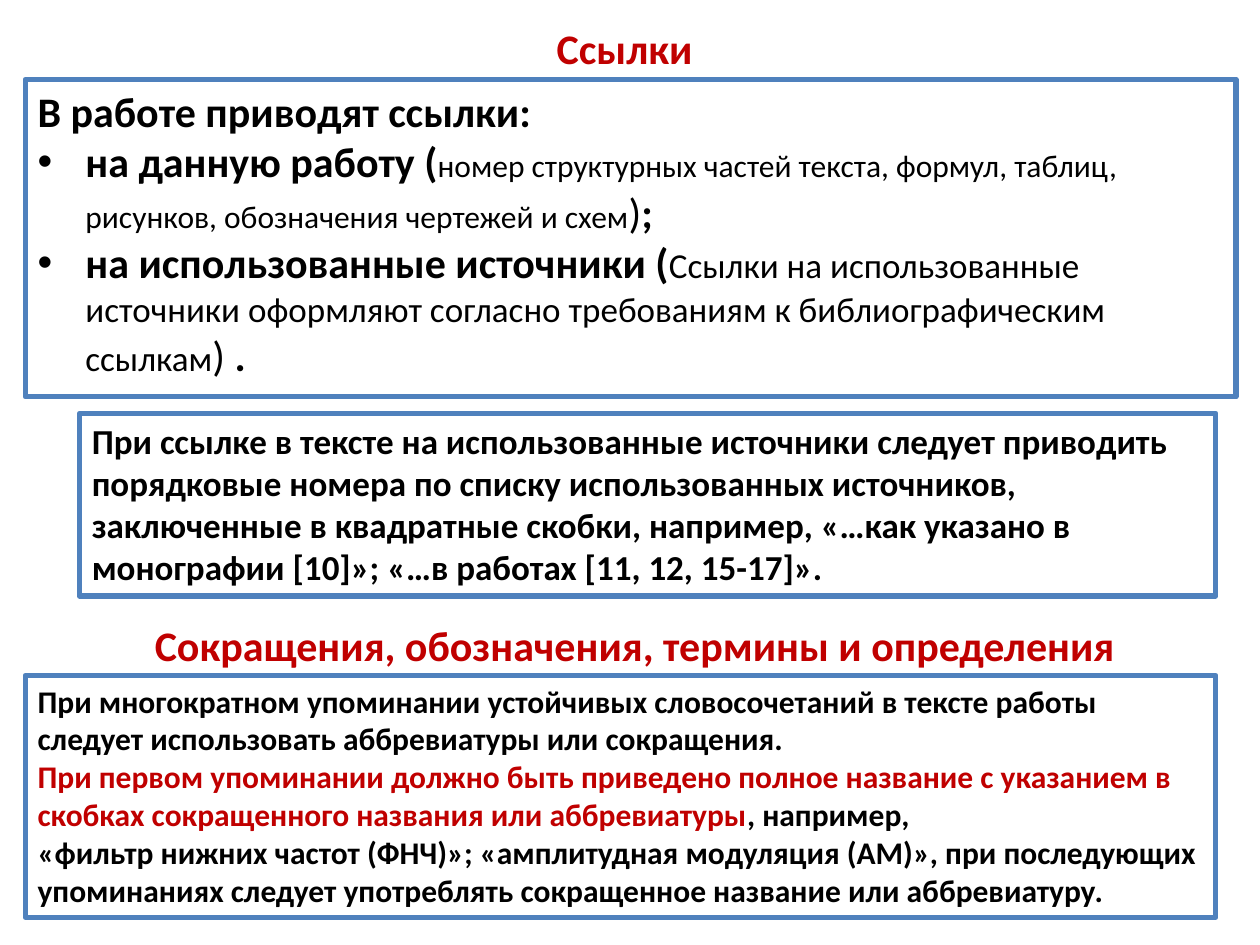
from pptx import Presentation
from pptx.dml.color import RGBColor
from pptx.enum.shapes import MSO_SHAPE
from pptx.enum.text import MSO_ANCHOR, MSO_AUTO_SIZE, PP_ALIGN
from pptx.oxml.ns import qn
from pptx.util import Inches, Pt
from lxml.etree import SubElement

THEME = {
    "font": "Calibri",
    "text": RGBColor(0x00, 0x00, 0x00),
    "accent": RGBColor(0xC0, 0x00, 0x00),
    "frame": RGBColor(0x4F, 0x81, 0xBD),
    "frame_width": 3,
    "heading": 24,
    "body": 20,
    "small": 18,
}

HEADING_STYLE = ("heading", True, "accent")
LEAD = ("heading", True, "text")
LEAD_PLAIN = ("heading", False, "text")
BODY = ("body", True, "text")
BODY_PLAIN = ("body", False, "text")
SMALL = ("small", True, "text")
SMALL_PLAIN = ("small", False, "text")
SMALL_ACCENT = ("small", True, "accent")

HEADINGS = [
    ((3.82, 0.13, 1.8, 0.5), False, "Ссылки"),
    ((0.63, 4.87, 9.02, 0.5), True, "Сокращения, обозначения, термины и определения"),
]

FRAMES = [
    ((0.2, 0.63, 9.61, 2.52), [
        ("plain", [("В работе приводят ссылки:", LEAD)]),
        ("bullet", [
            ("на данную работу (", LEAD),
            ("номер структурных частей текста, формул, таблиц, рисунков, "
             "обозначения чертежей и схем", SMALL_PLAIN),
            (")", LEAD_PLAIN),
            (";", LEAD),
        ]),
        ("bullet", [
            ("на использованные источники (", LEAD),
            ("Ссылки на использованные источники оформляют согласно "
             "требованиям к библиографическим ссылкам", BODY_PLAIN),
            (") ", LEAD_PLAIN),
            (".", LEAD),
        ]),
    ]),
    ((0.63, 3.28, 9.02, 1.45), [
        ("plain", [
            ("При ссылке в тексте на использованные источники следует приводить "
             "порядковые номера по списку использованных источников, заключенные "
             "в квадратные скобки, например, «…как указано в монографии [10]»; "
             "«…в работах [11, 12, 15-17]».", BODY),
        ]),
    ]),
    ((0.2, 5.36, 9.45, 1.92), [
        ("plain", [
            ("При многократном упоминании устойчивых словосочетаний в тексте работы "
             "следует использовать аббревиатуры или сокращения.", SMALL),
        ]),
        ("plain", [
            ("При первом упоминании должно быть приведено полное название с указанием "
             "в скобках сокращенного названия или аббревиатуры", SMALL_ACCENT),
            (", например,", SMALL),
        ]),
        ("normal", [
            ("«фильтр нижних частот (ФНЧ)»; «амплитудная модуляция (АМ)», при "
             "последующих упоминаниях следует употреблять сокращенное название "
             "или аббревиатуру.", SMALL),
        ]),
    ]),
]

PARAGRAPH_RULES = {
    "heading": (1, 0.5, 0, None),
    "plain": (2, 0, 0, None),
    "normal": (0, 0, 0, None),
    "bullet": (0, 0.38, -0.38, "•"),
}


def format_paragraph(paragraph, role):
    level, margin, indent, bullet = PARAGRAPH_RULES[role]
    paragraph.level = level
    paragraph.alignment = PP_ALIGN.LEFT
    properties = paragraph._p.get_or_add_pPr()
    properties.set("marL", str(Inches(margin)))
    properties.set("indent", str(Inches(indent)))
    if bullet:
        SubElement(properties, qn("a:buFont"), typeface="Arial")
        SubElement(properties, qn("a:buChar"), char=bullet)


def write_text(box, paragraphs, wrap=True):
    frame = box.text_frame
    frame.word_wrap = wrap
    frame.auto_size = MSO_AUTO_SIZE.SHAPE_TO_FIT_TEXT
    frame.vertical_anchor = MSO_ANCHOR.TOP
    for index, (role, runs) in enumerate(paragraphs):
        paragraph = frame.add_paragraph() if index else frame.paragraphs[0]
        format_paragraph(paragraph, role)
        for text, (size, bold, color) in runs:
            run = paragraph.add_run()
            run.text = text
            run.font.name = THEME["font"]
            run.font.size = Pt(THEME[size])
            run.font.bold = bold
            run.font.color.rgb = THEME[color]


def add_heading(slide, place, wrap, text):
    heading = slide.shapes.add_textbox(*map(Inches, place))
    write_text(heading, [("heading", [(text, HEADING_STYLE)])], wrap)


def add_frame(slide, place, paragraphs):
    panel = slide.shapes.add_shape(MSO_SHAPE.RECTANGLE, *map(Inches, place))
    panel.shadow.inherit = False
    panel.fill.background()
    panel.line.color.rgb = THEME["frame"]
    panel.line.width = Pt(THEME["frame_width"])
    write_text(panel, paragraphs)


def main():
    presentation = Presentation()
    presentation.slide_width = Inches(10)
    presentation.slide_height = Inches(7.5)
    slide = presentation.slides.add_slide(presentation.slide_layouts[6])
    links_heading, terms_heading = HEADINGS
    links_frame, citation_frame, terms_frame = FRAMES
    add_heading(slide, *links_heading)
    add_frame(slide, *links_frame)
    add_frame(slide, *citation_frame)
    add_heading(slide, *terms_heading)
    add_frame(slide, *terms_frame)
    presentation.save("out.pptx")


if __name__ == "__main__":
    main()
